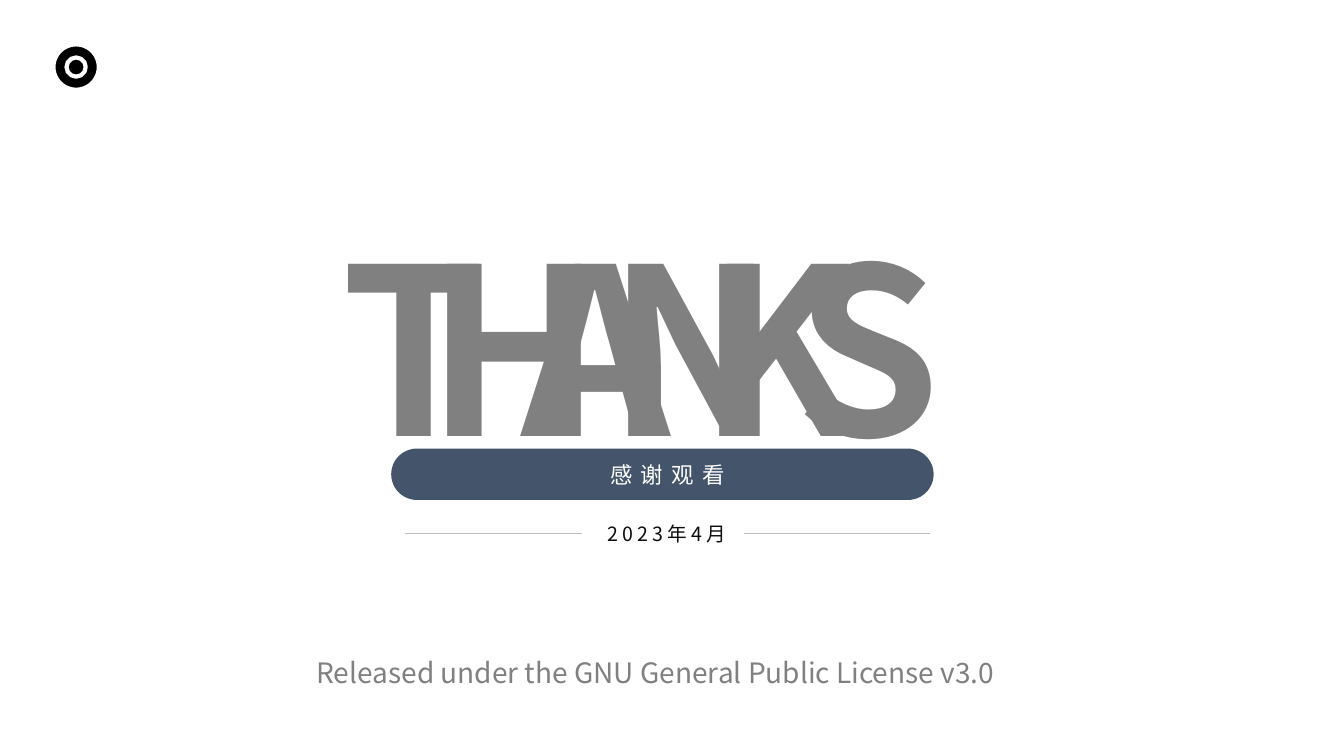
import pptx
import pptx.dml.color
import pptx.enum.shapes
import pptx.enum.text
import pptx.oxml
import pptx.oxml.ns
import pptx.util

PX = 9144
BLACK = pptx.dml.color.RGBColor(0x00, 0x00, 0x00)
WHITE = pptx.dml.color.RGBColor(0xFF, 0xFF, 0xFF)
GREY = pptx.dml.color.RGBColor(0x80, 0x80, 0x80)
RULE_GREY = pptx.dml.color.RGBColor(0xBF, 0xBF, 0xBF)
INK = pptx.dml.color.RGBColor(0x0D, 0x0D, 0x0D)
NAVY = pptx.dml.color.RGBColor(0x44, 0x54, 0x6A)
SANS_SC = "Noto Sans CJK SC"
SANS_JP = "Noto Sans CJK JP"
SHAPE = pptx.enum.shapes.MSO_SHAPE
ALIGN = pptx.enum.text.PP_ALIGN
ANCHOR = pptx.enum.text.MSO_ANCHOR
AUTO_SIZE = pptx.enum.text.MSO_AUTO_SIZE


def emu(*lengths):
    return [length * PX for length in lengths]


def write(holder, text, size, color, font=SANS_SC, bold=False, align=ALIGN.CENTER,
          anchor=ANCHOR.TOP, grow=True, insets=(10, 5), tracking=0, line_spacing=1.0):
    frame = holder.text_frame
    frame.word_wrap = True
    frame.auto_size = AUTO_SIZE.SHAPE_TO_FIT_TEXT if grow else AUTO_SIZE.NONE
    frame.vertical_anchor = anchor
    frame.margin_left = frame.margin_right = insets[0] * PX
    frame.margin_top = frame.margin_bottom = insets[1] * PX
    paragraph = frame.paragraphs[0]
    paragraph.alignment = align
    paragraph.line_spacing = line_spacing
    run = paragraph.add_run()
    run.text = text
    run.font.size = pptx.util.Pt(size)
    run.font.bold = bold
    run.font.color.rgb = color
    run.font.name = font
    properties = run.font._element
    if tracking:
        properties.set("spc", str(tracking * 100))
    east_asian = pptx.oxml.parse_xml(
        f'<a:ea {pptx.oxml.ns.nsdecls("a")} typeface="{font}"/>')
    properties.append(east_asian)


def add_plain_shape(slide, kind, box, fill=None, line=None, width=3):
    shape = slide.shapes.add_shape(kind, *emu(*box))
    shape.shadow.inherit = False
    if fill is None:
        shape.fill.background()
    else:
        shape.fill.solid()
        shape.fill.fore_color.rgb = fill
    if line is None:
        shape.line.fill.background()
    else:
        shape.line.color.rgb = line
        shape.line.width = pptx.util.Pt(width)
    return shape


def add_pill(slide, box, fill=None):
    pill = add_plain_shape(slide, SHAPE.ROUNDED_RECTANGLE, box, fill)
    pill.adjustments[0] = 0.5
    return pill


def add_rule(slide, start, end, y):
    rule = slide.shapes.add_connector(
        pptx.enum.shapes.MSO_CONNECTOR.STRAIGHT, *emu(start, y, end, y))
    rule.line.color.rgb = RULE_GREY
    rule.line.width = pptx.util.Pt(0.75)
    rule._element.spPr.append(
        pptx.oxml.parse_xml(f'<a:effectLst {pptx.oxml.ns.nsdecls("a")}/>'))


def build_thanks(slide, left, top, width, height):
    step = 90
    letter_width = width - 5 * step
    for index, letter in enumerate("THANKS"):
        letter_box = slide.shapes.add_textbox(
            *emu(left + index * step, top, letter_width, height))
        write(letter_box, letter, 166, GREY, bold=True, insets=(0, 0))


def build_date(slide, left, top, width, height):
    middle = top + height // 2
    add_rule(slide, left, left + 175, middle)
    add_rule(slide, left + 336, left + width, middle)
    date = add_pill(slide, (left + 91, top, 337, height))
    write(date, "2023年4月", 14, INK, anchor=ANCHOR.MIDDLE, grow=False, tracking=3)


def build_title(slide, left, top, width, height):
    add_pill(slide, (left, top, width, height), NAVY)
    title = slide.shapes.title
    title.left, title.top, title.width, title.height = emu(
        left + 26, top + 7, width - 42, height - 14)
    write(title, "感谢观看", 16, WHITE, font=SANS_JP, tracking=6)
    slide.shapes.element.append(title.element)


def build_ring(slide, left, top, size):
    for inset in (0, 13):
        diameter = size - 2 * inset
        add_plain_shape(slide, SHAPE.OVAL,
                        (left + inset, top + inset, diameter, diameter), BLACK, WHITE)


def build_licence(slide, left, top, width, height):
    licence = slide.shapes.add_textbox(*emu(left, top, width, height))
    write(licence, "Released under the GNU General Public License v3.0", 20, GREY,
          align=ALIGN.LEFT, line_spacing=1.3)


def build_closing_slide(presentation):
    slide = presentation.slides.add_slide(presentation.slide_layouts[5])
    slide.background.fill.solid()
    slide.background.fill.fore_color.rgb = WHITE
    build_thanks(slide, 333, 202, 606, 289)
    build_date(slide, 402, 509, 520, 41)
    build_title(slide, 388, 445, 538, 51)
    build_ring(slide, 53, 44, 45)
    build_licence(slide, 304, 635, 725, 54)


def main():
    presentation = pptx.Presentation()
    presentation.slide_width, presentation.slide_height = emu(1333, 750)
    build_closing_slide(presentation)
    presentation.save("out.pptx")


if __name__ == "__main__":
    main()
